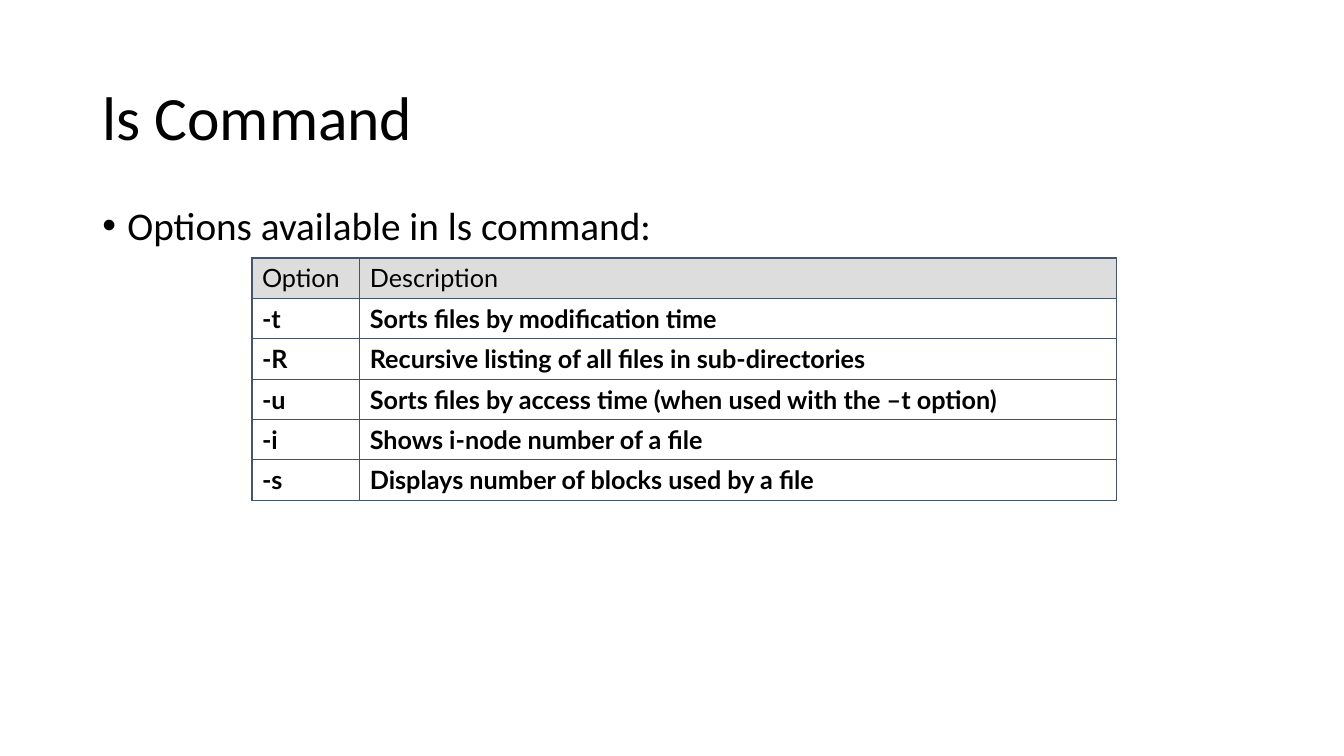
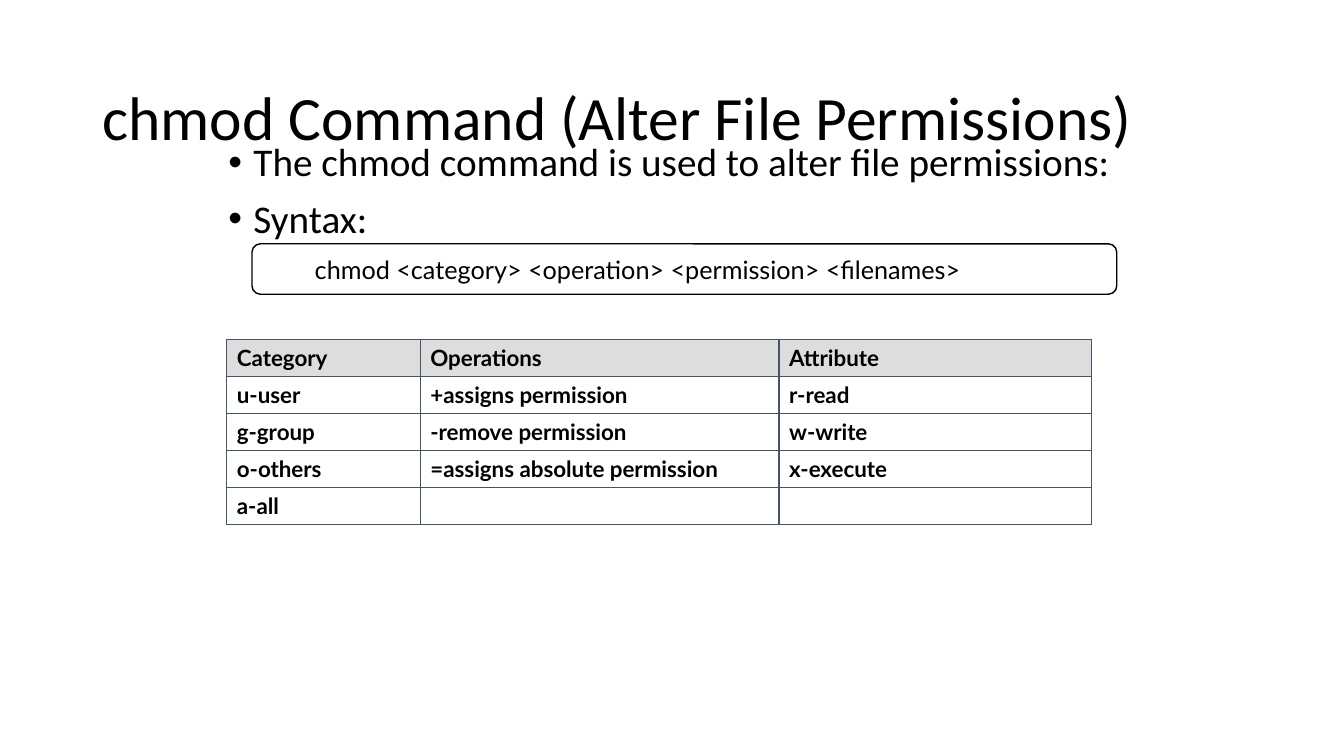
import pptx
import pptx.dml.color
import pptx.enum.shapes
import pptx.enum.text
import pptx.oxml
import pptx.oxml.ns
import pptx.util

Pt = pptx.util.Pt
COLORS = {"ink": "000000", "paper": "FFFFFF", "head": "DDDDDD", "rule": "44546A"}


def shade(name):
    """Return the named colour as an RGB value."""
    return pptx.dml.color.RGBColor.from_string(COLORS[name])


def edge(side):
    """Return a one-point cell border for one side."""
    return pptx.oxml.parse_xml(
        f'<a:{side} {pptx.oxml.ns.nsdecls("a")} w="{Pt(1)}"><a:solidFill>'
        f'<a:srgbClr val="{COLORS["rule"]}"/></a:solidFill></a:{side}>')


class Deck:
    """Shared style and the current slide."""

    main, side = "Calibri", "Lato"

    def __init__(self):
        """Start an empty wide deck."""
        self.show = pptx.Presentation()
        self.show.slide_width, self.show.slide_height = Pt(960), Pt(540)
        self.slide = None

    def style(self, para, size, face, bold=False):
        """Format a whole paragraph, aligned left."""
        para.alignment = pptx.enum.text.PP_ALIGN.LEFT
        font = para.font
        font.size, font.name, font.bold = Pt(size), face, bold
        font.color.rgb = shade("ink")

    def page(self, title):
        """Add a slide with its title."""
        self.slide = self.show.slides.add_slide(self.show.slide_layouts[5])
        shape = self.slide.shapes.title
        shape.left, shape.top = Pt(66), Pt(28.8)
        shape.width, shape.height = Pt(828), Pt(104.4)
        frame = shape.text_frame
        frame.text = title
        frame.auto_size = pptx.enum.text.MSO_AUTO_SIZE.NONE
        frame.vertical_anchor = pptx.enum.text.MSO_ANCHOR.MIDDLE
        frame.margin_top = Pt(14.4)
        frame.paragraphs[0].line_spacing = 0.9
        self.style(frame.paragraphs[0], 44, self.main)

    def list(self, box, lines):
        """Add a bulleted text box."""
        frame = self.slide.shapes.add_textbox(*map(Pt, box)).text_frame
        frame.word_wrap = True
        frame.text = "\n".join(lines)
        for para in frame.paragraphs:
            para.line_spacing, para.space_before = 0.9, Pt(10)
            props = para._p.get_or_add_pPr()
            props.set("marL", str(Pt(18)))
            props.set("indent", str(-Pt(18)))
            props.append(pptx.oxml.parse_xml(
                f'<a:buFont {pptx.oxml.ns.nsdecls("a")} typeface="Arial"/>'))
            props.append(pptx.oxml.parse_xml(
                f'<a:buChar {pptx.oxml.ns.nsdecls("a")} char="\u2022"/>'))
            self.style(para, 28, self.main)

    def code(self, box, text):
        """Add a rounded box with one line of code."""
        kind = pptx.enum.shapes.MSO_SHAPE.ROUNDED_RECTANGLE
        shape = self.slide.shapes.add_shape(kind, *map(Pt, box))
        shape.shadow.inherit = False
        shape.fill.solid()
        shape.fill.fore_color.rgb = shade("paper")
        shape.line.color.rgb = shade("ink")
        shape.line.width = Pt(1)
        frame = shape.text_frame
        frame.text = text
        frame.word_wrap = True
        frame.vertical_anchor = pptx.enum.text.MSO_ANCHOR.MIDDLE
        para = frame.paragraphs[0]
        para._p.get_or_add_pPr().set("marL", str(Pt(36)))
        self.style(para, 18, self.side)

    def table(self, left, top, widths, step, rows, size, strong):
        """Add a ruled table with a grey head row."""
        grid = self.slide.shapes.add_table(
            len(rows), len(widths), Pt(left), Pt(top),
            Pt(sum(widths)), Pt(step * len(rows))).table
        grid.first_row = grid.horz_banding = False
        for col, width in zip(grid.columns, widths):
            col.width = Pt(width)
        for r, row in enumerate(rows):
            grid.rows[r].height = Pt(step)
            for c, text in enumerate(row):
                self.cell(grid.cell(r, c), text, size, r == 0, r > 0 or strong)

    def cell(self, cell, text, size, head, bold):
        """Fill, rule and format one table cell."""
        cell.text = text
        self.style(cell.text_frame.paragraphs[0], size, self.side, bold)
        props = cell._tc.get_or_add_tcPr()
        for side in ("lnL", "lnR", "lnT", "lnB"):
            props.append(edge(side))
        if head:
            cell.fill.solid()
            cell.fill.fore_color.rgb = shade("head")
        else:
            cell.fill.background()


deck = Deck()

deck.page("ls Command")
deck.list((66, 144, 828, 342.7), ["Options available in ls command:"])
deck.table(180, 184.3, (77, 540.7), 28.57, [
    ("Option", "Description"),
    ("-t", "Sorts files by modification time"),
    ("-R", "Recursive listing of all files in sub-directories"),
    ("-u", "Sorts files by access time (when used with the \u2013t option)"),
    ("-i", "Shows i-node number of a file"),
    ("-s", "Displays number of blocks used by a file"),
], 18, strong=False)

deck.page("chmod Command (Alter File Permissions)")
deck.list((156, 98.6, 648, 383.8), [
    "The chmod command is used to alter file permissions:",
    "Syntax:",
])
deck.code((180, 174.2, 617.7, 36),
          "chmod <category> <operation> <permission> <filenames>")
deck.table(162, 242.6, (138.2, 256.3, 223.2), 26.2, [
    ("Category", "Operations", "Attribute"),
    ("u-user", "+assigns permission", "r-read"),
    ("g-group", "-remove permission", "w-write"),
    ("o-others", "=assigns absolute permission", "x-execute"),
    ("a-all", "", ""),
], 16, strong=True)

deck.show.save("out.pptx")
